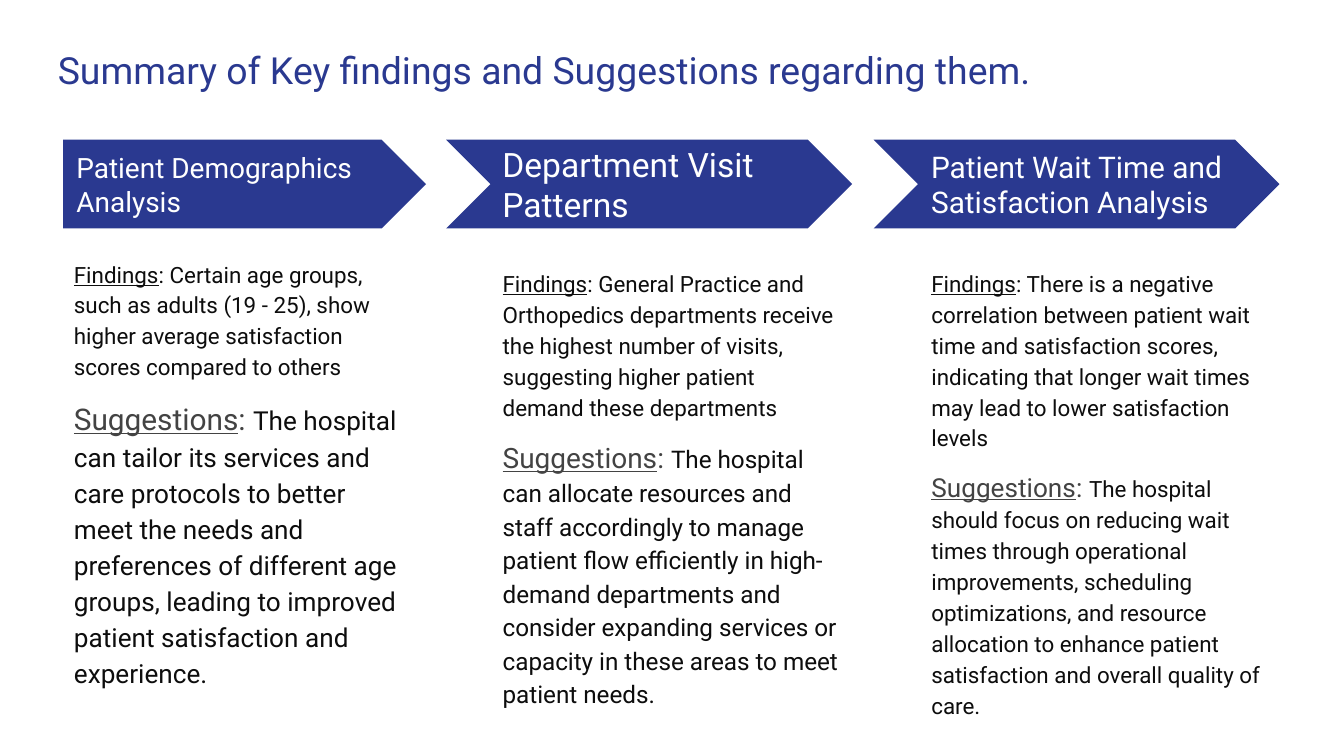
from dataclasses import dataclass

from lxml.etree import SubElement
from pptx import Presentation
from pptx.dml.color import RGBColor
from pptx.enum.shapes import MSO_SHAPE
from pptx.enum.text import MSO_ANCHOR, MSO_AUTO_SIZE, PP_ALIGN
from pptx.oxml.ns import qn
from pptx.shapes.base import BaseShape
from pptx.slide import Slide
from pptx.text.text import TextFrame, _Paragraph
from pptx.util import Inches, Pt


@dataclass(frozen=True)
class Theme:
    font: str = "Roboto"
    navy: RGBColor = RGBColor(0x2A, 0x39, 0x90)
    white: RGBColor = RGBColor(0xFF, 0xFF, 0xFF)
    ink: RGBColor = RGBColor(0x0D, 0x0D, 0x0D)
    gray: RGBColor = RGBColor(0x43, 0x43, 0x43)
    title_size: int = 20
    findings_size: int = 12
    label_extra: int = 2


@dataclass(frozen=True)
class Topic:
    heading: str
    findings: str
    suggestions: str
    heading_size: int
    suggestions_size: int
    arrow: MSO_SHAPE
    arrow_left: float
    arrow_width: float
    heading_left: float
    detail_left: float
    detail_top: float


THEME = Theme()
INSET = Inches(0.1)
ARROW_TOP = 1.04
ARROW_HEIGHT = 0.66

TOPICS = [
    Topic(
        "Patient Demographics Analysis",
        "Certain age groups, such as adults (19 - 25), show higher average "
        "satisfaction scores compared to others",
        "The hospital can tailor its services and care protocols to better meet "
        "the needs and preferences of different age groups, leading to improved "
        "patient satisfaction and experience.",
        15, 14, MSO_SHAPE.PENTAGON, 0.47, 2.7, 0.47, 0.45, 1.81,
    ),
    Topic(
        "Department Visit Patterns",
        "General Practice and Orthopedics departments receive the highest number "
        "of visits, suggesting higher patient demand these departments",
        "The hospital can allocate resources and staff accordingly to manage "
        "patient flow efficiently in high-demand departments and consider "
        "expanding services or capacity in these areas to meet patient needs.",
        18, 13, MSO_SHAPE.CHEVRON, 3.32, 3.02, 3.64, 3.64, 1.88,
    ),
    Topic(
        "Patient Wait Time and Satisfaction Analysis",
        "There is a negative correlation between patient wait time and "
        "satisfaction scores, indicating that longer wait times may lead to "
        "lower satisfaction levels",
        "The hospital should focus on reducing wait times through operational "
        "improvements, scheduling optimizations, and resource allocation to "
        "enhance patient satisfaction and overall quality of care.",
        16, 12, MSO_SHAPE.CHEVRON, 6.5, 3.02, 6.83, 6.83, 1.88,
    ),
]


def place(shape: BaseShape, left: float, top: float, width: float, height: float) -> None:
    shape.left, shape.top = Inches(left), Inches(top)
    shape.width, shape.height = Inches(width), Inches(height)


def prepare_frame(frame: TextFrame, anchor: MSO_ANCHOR) -> None:
    frame.word_wrap = True
    frame.auto_size = MSO_AUTO_SIZE.NONE
    frame.vertical_anchor = anchor
    frame.margin_left = frame.margin_right = INSET
    frame.margin_top = frame.margin_bottom = INSET


def format_paragraph(
    paragraph: _Paragraph, size: int, color: RGBColor,
    line_spacing: float = 1.0, gap: int = 0,
) -> None:
    paragraph.alignment = PP_ALIGN.LEFT
    paragraph.line_spacing = line_spacing
    paragraph.space_before = paragraph.space_after = Pt(gap)
    paragraph.font.name = THEME.font
    paragraph.font.size = Pt(size)
    paragraph.font.bold = False
    paragraph.font.color.rgb = color


def remove_bullet(paragraph: _Paragraph) -> None:
    properties = paragraph._p.get_or_add_pPr()
    properties.set("marL", "0")
    properties.set("indent", "0")
    bullet = SubElement(properties, qn("a:buNone"))
    defaults = properties.find(qn("a:defRPr"))
    if defaults is not None:
        defaults.addprevious(bullet)


def add_title(slide: Slide, wording: str) -> None:
    title = slide.shapes.title
    place(title, 0.33, 0.25, 9.32, 0.66)
    prepare_frame(title.text_frame, MSO_ANCHOR.TOP)
    title.text_frame.text = wording
    format_paragraph(title.text_frame.paragraphs[0], THEME.title_size, THEME.navy)


def add_arrow(slide: Slide, topic: Topic) -> None:
    arrow = slide.shapes.add_shape(
        topic.arrow, Inches(topic.arrow_left), Inches(ARROW_TOP),
        Inches(topic.arrow_width), Inches(ARROW_HEIGHT),
    )
    arrow.shadow.inherit = False
    arrow.fill.solid()
    arrow.fill.fore_color.rgb = THEME.navy
    arrow.line.fill.background()


def add_heading(slide: Slide, topic: Topic) -> None:
    heading = slide.shapes.add_textbox(
        Inches(topic.heading_left), Inches(1.2), Inches(2.47), Inches(0.34)
    )
    prepare_frame(heading.text_frame, MSO_ANCHOR.MIDDLE)
    heading.text_frame.text = topic.heading
    format_paragraph(heading.text_frame.paragraphs[0], topic.heading_size, THEME.white)


def fill_detail(detail: BaseShape, topic: Topic) -> None:
    place(detail, topic.detail_left, topic.detail_top, 2.7, 2.9)
    frame = detail.text_frame
    prepare_frame(frame, MSO_ANCHOR.TOP)

    findings = frame.paragraphs[0]
    format_paragraph(findings, THEME.findings_size, THEME.ink, 1.15)
    remove_bullet(findings)
    findings.add_run().text = "Findings"
    findings.runs[0].font.underline = True
    findings.add_run().text = f": {topic.findings}"

    suggestions = frame.add_paragraph()
    format_paragraph(suggestions, topic.suggestions_size, THEME.ink, 1.15, 8)
    remove_bullet(suggestions)
    for label in ("Suggestions", ": "):
        run = suggestions.add_run()
        run.text = label
        run.font.size = Pt(topic.suggestions_size + THEME.label_extra)
        run.font.color.rgb = THEME.gray
    suggestions.runs[0].font.underline = True
    suggestions.add_run().text = topic.suggestions


def main() -> None:
    presentation = Presentation()
    presentation.slide_width = Inches(10)
    presentation.slide_height = presentation.slide_width * 9 // 16
    slide = presentation.slides.add_slide(presentation.slide_layouts[4])

    add_title(slide, "Summary of Key findings and Suggestions regarding them.")
    details = list(slide.placeholders)[1:]
    for topic, detail in zip(TOPICS, details):
        add_arrow(slide, topic)
        add_heading(slide, topic)
        fill_detail(detail, topic)
    for unused in details[len(TOPICS):]:
        unused.element.getparent().remove(unused.element)

    presentation.save("out.pptx")


if __name__ == "__main__":
    main()
